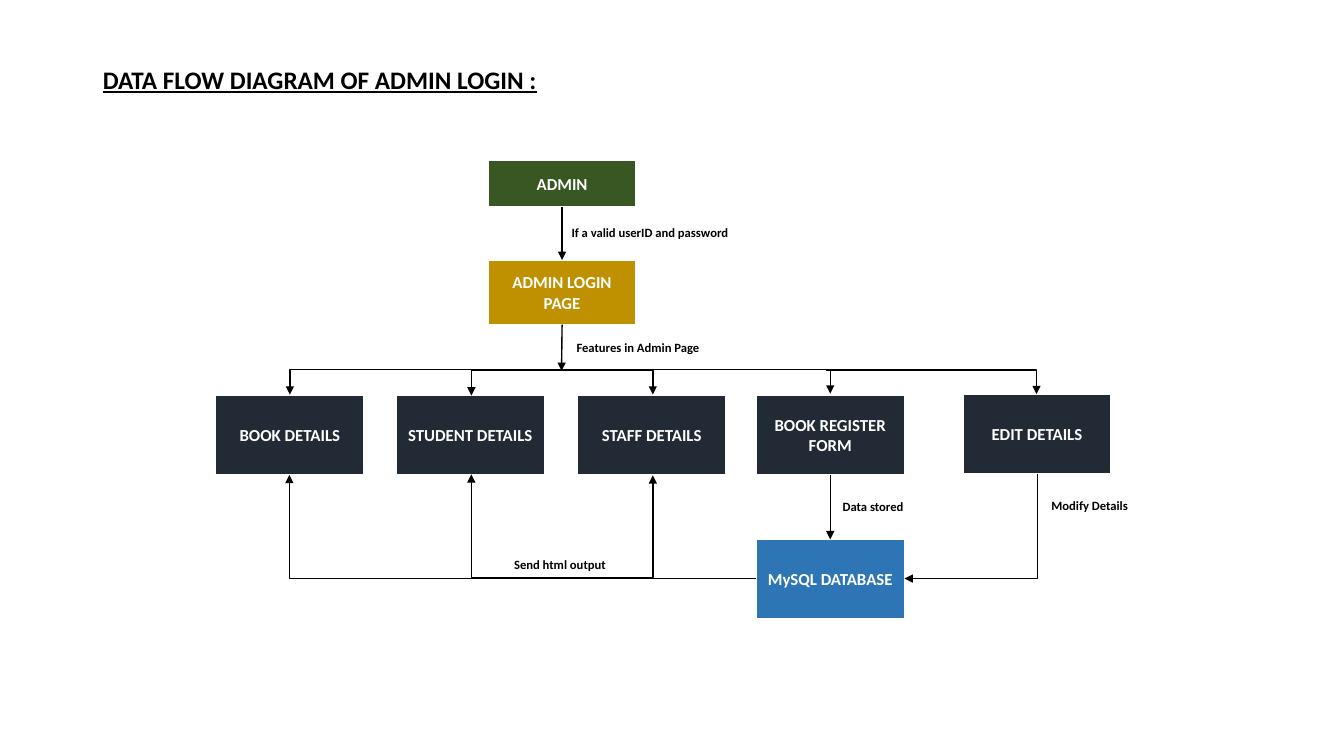
from lxml import etree
from pptx import Presentation
from pptx.dml.color import RGBColor
from pptx.enum.shapes import MSO_CONNECTOR, MSO_SHAPE
from pptx.enum.text import MSO_ANCHOR, PP_ALIGN
from pptx.oxml.ns import qn
from pptx.util import Inches, Pt

STRAIGHT, ELBOW = MSO_CONNECTOR.STRAIGHT, MSO_CONNECTOR.ELBOW
RECT = MSO_SHAPE.RECTANGLE
UPPER, MIDDLE, BOTTOM = MSO_ANCHOR.TOP, MSO_ANCHOR.MIDDLE, MSO_ANCHOR.BOTTOM
LEFT, CENTER = PP_ALIGN.LEFT, PP_ALIGN.CENTER
BLACK = RGBColor(0x00, 0x00, 0x00)
WHITE = RGBColor(0xFF, 0xFF, 0xFF)
GREEN = RGBColor(0x38, 0x57, 0x23)
GOLD = RGBColor(0xBF, 0x90, 0x00)
NAVY = RGBColor(0x22, 0x2A, 0x35)
BLUE = RGBColor(0x2E, 0x75, 0xB6)
TOP, BASE = 0, 2
WIDE = 1.47


def write(shape, text, size, color, align, anchor):
    frame = shape.text_frame
    frame.word_wrap = True
    frame.vertical_anchor = anchor
    para = frame.paragraphs[0]
    para.alignment = align
    run = para.add_run()
    run.text = text
    font = run.font
    font.name, font.size, font.bold = "Calibri", Pt(size), True
    font.color.rgb = color
    return para


def link(kind, x1, y1, x2, y2, ends=("tailEnd",)):
    """Draw a black connector with arrowheads at the named ends."""
    line = slide.shapes.add_connector(
        kind, Inches(x1), Inches(y1), Inches(x2), Inches(y2))
    line.line.color.rgb = BLACK
    line.line.width = Pt(1)
    etree.SubElement(line._element.spPr, qn("a:effectLst"))
    for end in ends:
        etree.SubElement(line.line._get_or_add_ln(), qn("a:" + end), type="triangle")
    return line


deck = Presentation()
deck.slide_width, deck.slide_height = Inches(13.33), Inches(7.5)
slide = deck.slides.add_slide(deck.slide_layouts[5])

title = slide.shapes.title
title.left, title.top = Inches(0.92), Inches(0.55)
title.width, title.height = Inches(11.5), Inches(0.44)
head = write(title, "DATA FLOW DIAGRAM OF ADMIN LOGIN :", 18, BLACK, LEFT, BOTTOM)
head.line_spacing = 0.9
head.runs[0].font.underline = True

# Boxes
boxes = {}
for name, x, y, high, color in [
    ("ADMIN", 4.84, 1.59, 0.46, GREEN),
    ("ADMIN LOGIN PAGE", 4.84, 2.58, 0.64, GOLD),
    ("BOOK DETAILS", 2.14, 3.92, 0.79, NAVY),
    ("STUDENT DETAILS", 3.93, 3.92, 0.79, NAVY),
    ("STAFF DETAILS", 5.73, 3.92, 0.79, NAVY),
    ("BOOK REGISTER FORM", 7.5, 3.92, 0.79, NAVY),
    ("EDIT DETAILS", 9.55, 3.91, 0.79, NAVY),
    ("MySQL DATABASE", 7.5, 5.35, 0.79, BLUE),
]:
    box = slide.shapes.add_shape(RECT, Inches(x), Inches(y), Inches(WIDE), Inches(high))
    box.shadow.inherit = False
    box.fill.solid()
    box.fill.fore_color.rgb = color
    box.line.color.rgb = WHITE
    box.line.width = Pt(1)
    write(box, name, 12, WHITE, CENTER, MIDDLE)
    boxes[name] = box

# Straight arrows
for start, end in [
    ("ADMIN", "ADMIN LOGIN PAGE"),
    ("BOOK REGISTER FORM", "MySQL DATABASE"),
]:
    arrow = link(STRAIGHT, 0, 0, 0, 0)
    arrow.begin_connect(boxes[start], BASE)
    arrow.end_connect(boxes[end], TOP)
drop = link(STRAIGHT, 5.57, 3.22, 5.57, 3.68)
drop.begin_connect(boxes["ADMIN LOGIN PAGE"], BASE)

# Bent arrows: frame before turning, turn in degrees, flips, bend in frame widths
both = ("headEnd", "tailEnd")
for x, y, wide, high, turn, flips, bend, ends in [
    (5.55, 1.23, 0.01, 5.36, 90, ("flipH", "flipV"), 25, both),
    (5.57, 3.02, 0.01, 1.8, 90, ("flipH", "flipV"), 25, both),
    (5.57, 3.81, 0.01, 1.8, 270, ("flipH",), 104, both),
    (2.87, 4.71, 4.63, 1.03, 180, (), None, ("tailEnd",)),
    (8.19, 3.67, 2.09, 0.24, 0, (), None, ("tailEnd",)),
    (9.11, 4.56, 1.04, 1.32, 90, (), None, ("tailEnd",)),
]:
    line = link(ELBOW, x, y, x + wide, y + high, ends)
    props = line._element.spPr
    frame = props.find(qn("a:xfrm"))
    frame.set("rot", str(turn * 60000))
    for flip in flips:
        frame.set(flip, "1")
    shape = props.find(qn("a:prstGeom"))
    if bend is None:
        shape.set("prst", "bentConnector2")
    else:
        etree.SubElement(shape.find(qn("a:avLst")), qn("a:gd"),
                         name="adj1", fmla=f"val {bend * 100000}")

# Line labels
for text, x, y, wide in [
    ("If a valid userID and password", 5.57, 2.18, 2.19),
    ("Features in Admin Page", 5.62, 3.32, 1.57),
    ("Data stored", 8.26, 4.9, 0.83),
    ("Modify Details", 10.33, 4.89, 1.08),
    ("Send html output", 5, 5.48, 1.15),
]:
    note = slide.shapes.add_textbox(Inches(x), Inches(y), Inches(wide), Inches(0.25))
    write(note, text, 9, BLACK, LEFT, UPPER)

deck.save("out.pptx")
